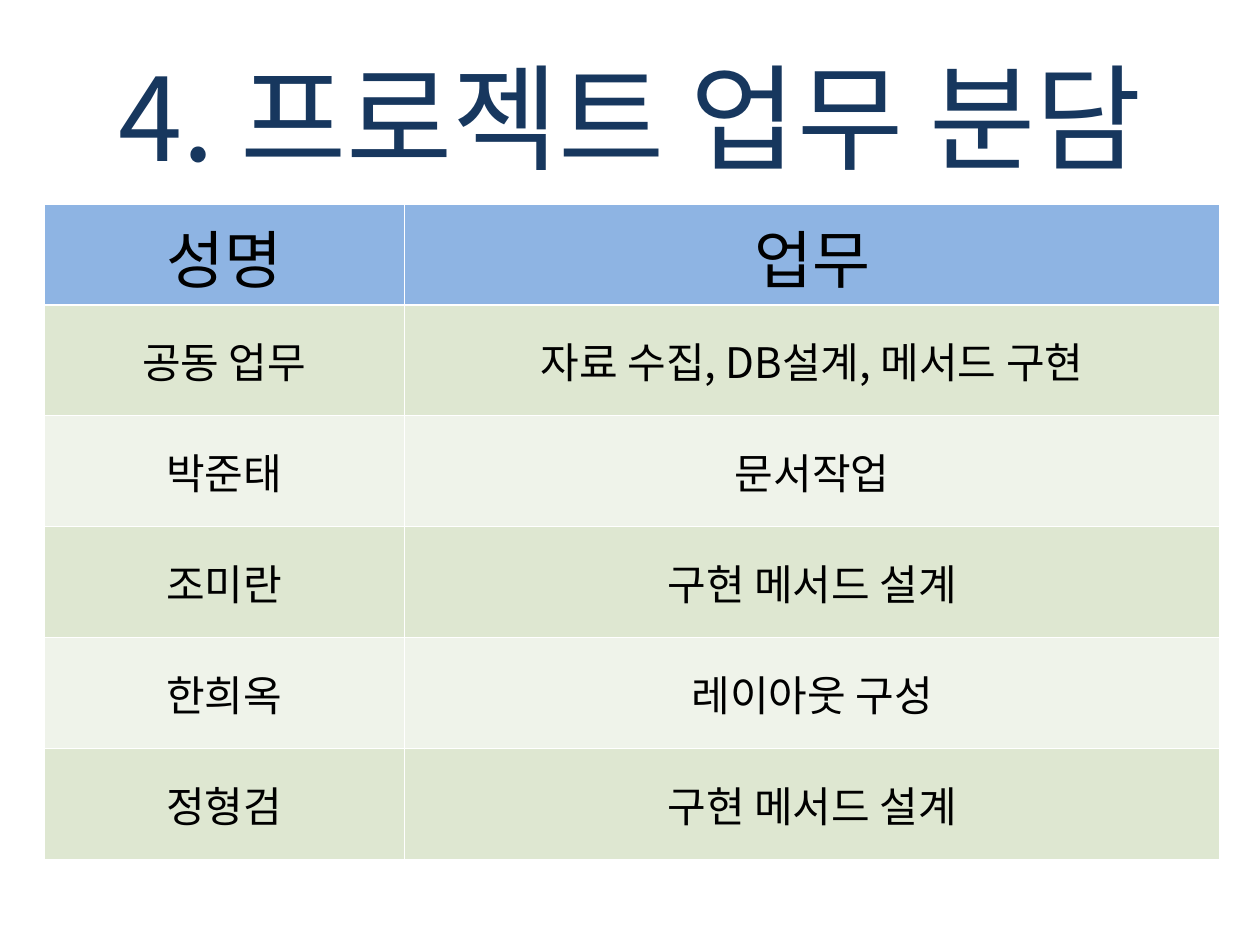
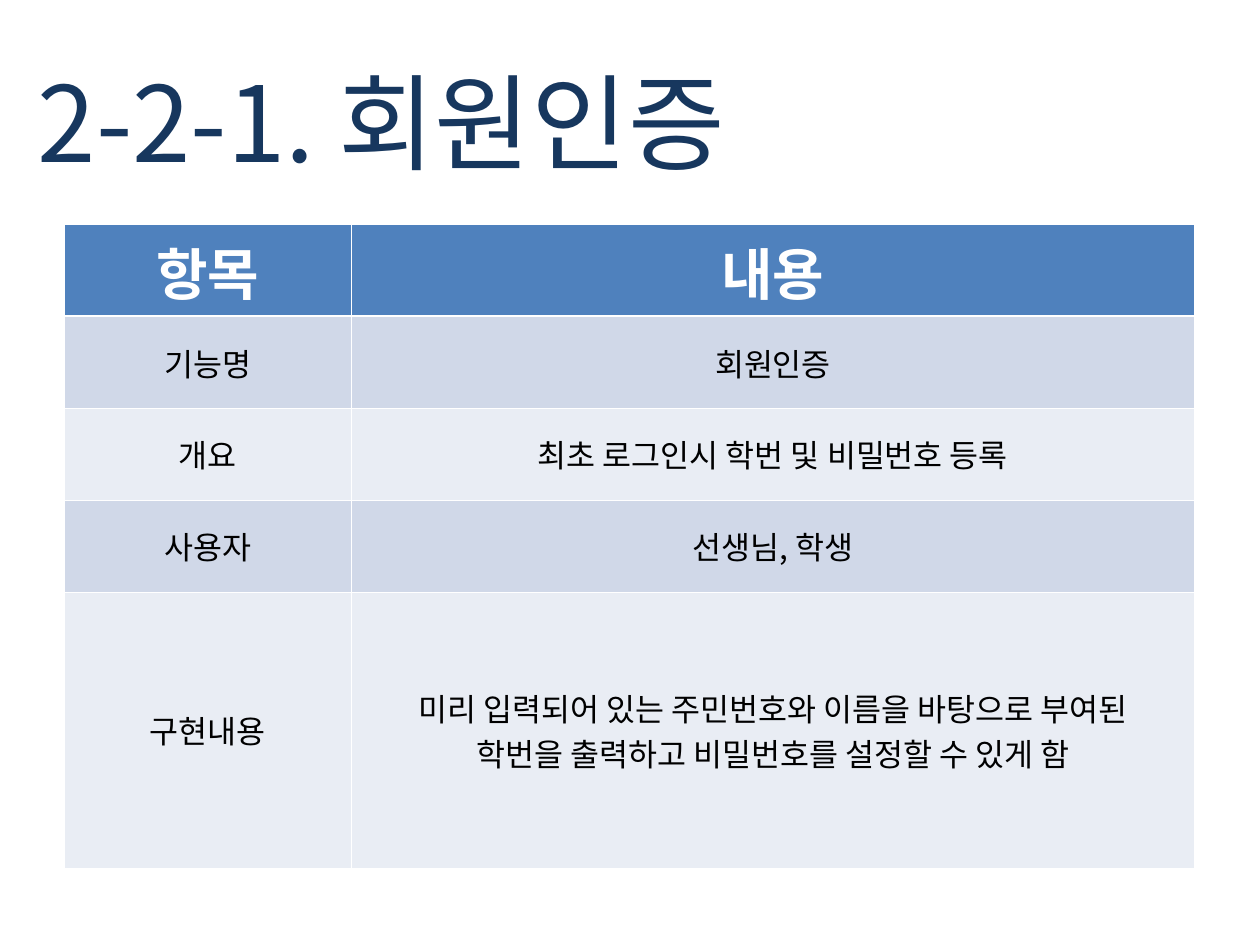
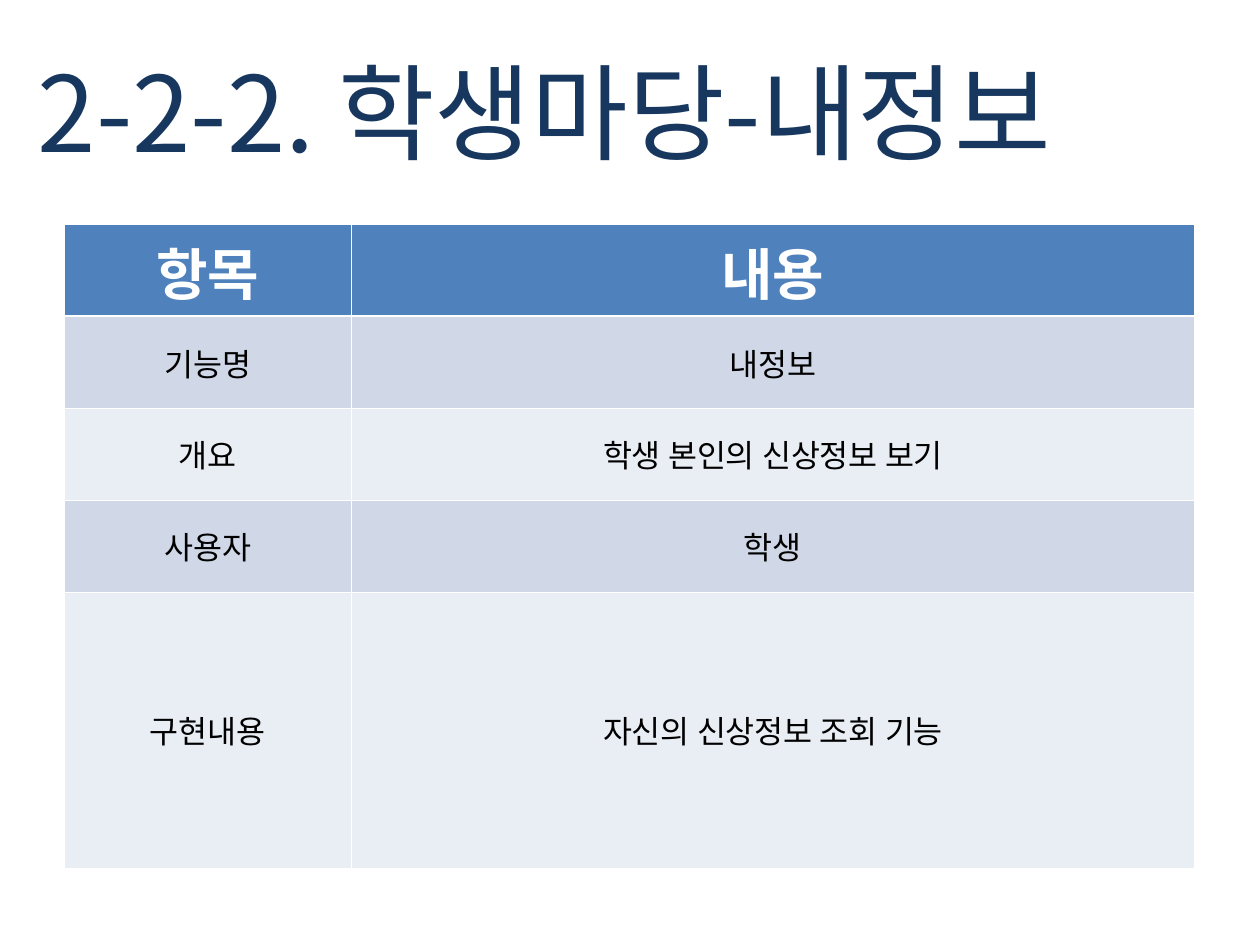
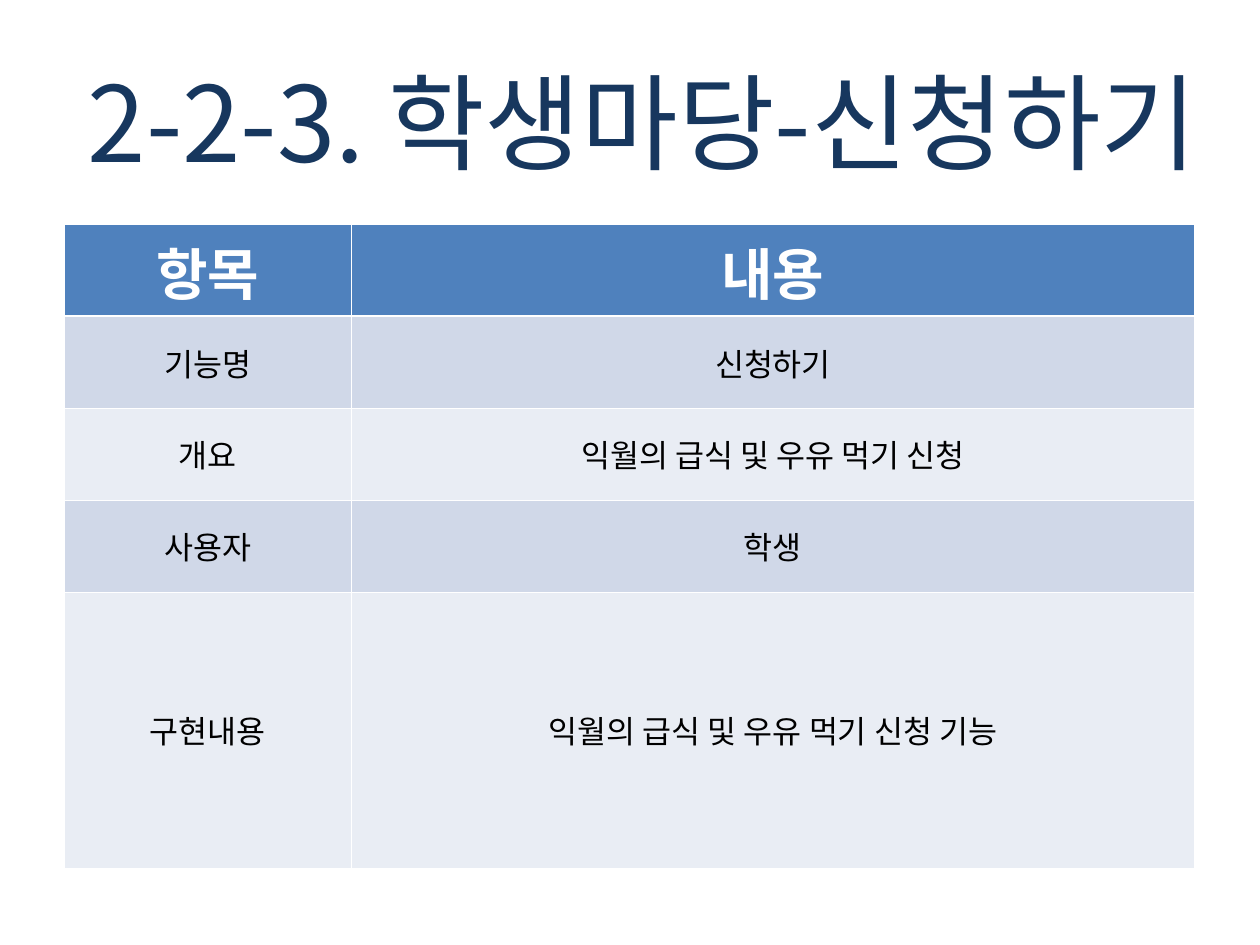
from lxml.etree import SubElement
from pptx import Presentation
from pptx.dml.color import RGBColor
from pptx.enum.text import MSO_ANCHOR as ANCHOR, MSO_AUTO_SIZE as AUTO, PP_ALIGN as ALIGN
from pptx.oxml.ns import qn
from pptx.util import Pt

PX = 9144  # 100 px to the inch
FONT = "Noto Sans CJK KR"
COLORS = {
    "title": "17375E", "black": "000000", "white": "FFFFFF",
    "sky": "8EB4E3", "green": "DEE7D1", "pale_green": "EFF3EA",
    "blue": "4F81BD", "lilac": "D0D8E8", "pale_lilac": "E9EDF4",
}
THIN, THICK = 0.45, 1.47

# Table looks: place, grid, colours and text sizes
DUTY_TABLE = dict(
    left=35, top=162, cols=[286, 647], rows=[80] + [88] * 5,
    fills=["sky", "green", "pale_green"],
    head=dict(size=36, color="black"), body=dict(size=24, color="black"))
FEATURE_TABLE = dict(
    left=51, top=178, cols=[228, 669], rows=[73] * 4 + [219],
    fills=["blue", "lilac", "pale_lilac"],
    head=dict(size=32, color="white", bold=True), body=dict(size=18, color="black"))


class Deck:
    def __init__(self):
        self.prs = Presentation()
        self.prs.slide_width, self.prs.slide_height = 1000 * PX, 750 * PX
        self.s = None

    def slide(self):
        self.s = self.prs.slides.add_slide(self.prs.slide_layouts[5])

    def run(self, p, text, size, color, bold=False):
        r = p.add_run()
        r.text = text
        r.font.size, r.font.bold, r.font.name = Pt(size), bold, FONT
        r.font.color.rgb = RGBColor.from_string(COLORS[color])
        SubElement(r.font._element, qn("a:ea"), typeface=FONT)

    def title(self, text, size=60, height=120, align=ALIGN.LEFT, indent=20, drop=0):
        sp = self.s.shapes.title
        sp.left, sp.top, sp.width, sp.height = 0, 44 * PX, 1000 * PX, height * PX
        tf = sp.text_frame
        tf.word_wrap, tf.auto_size = True, AUTO.SHAPE_TO_FIT_TEXT
        tf.vertical_anchor = ANCHOR.TOP
        tf.margin_left = tf.margin_right = 10 * PX
        tf.margin_top, tf.margin_bottom = (5 + drop) * PX, 5 * PX
        p = tf.paragraphs[0]
        p.alignment, p.line_spacing = align, 0.9
        p._p.get_or_add_pPr().set("marL", str(indent * PX))
        self.run(p, text, size, "title")

    def borders(self, cell, row):
        widths = {"L": THIN, "R": THIN,
                  "T": THICK if row == 1 else THIN,
                  "B": THICK if row == 0 else THIN}
        tcPr = cell._tc.get_or_add_tcPr()
        for side, width in widths.items():
            ln = SubElement(tcPr, qn(f"a:ln{side}"), w=str(Pt(width)))
            fill = SubElement(ln, qn("a:solidFill"))
            SubElement(fill, qn("a:srgbClr"), val=COLORS["white"])

    def cell(self, cell, row, text, fill, style):
        self.borders(cell, row)
        cell.fill.solid()
        cell.fill.fore_color.rgb = RGBColor.from_string(COLORS[fill])
        cell.vertical_anchor = ANCHOR.MIDDLE
        p = cell.text_frame.paragraphs[0]
        p.alignment = ALIGN.CENTER
        for i, line in enumerate(text.split("\n")):
            if i:
                p.add_line_break()
            self.run(p, line, **style)

    def table(self, data, look):
        cols, rows = look["cols"], look["rows"]
        head, odd, even = look["fills"]
        tbl = self.s.shapes.add_table(
            len(rows), len(cols), look["left"] * PX, look["top"] * PX,
            sum(cols) * PX, sum(rows) * PX).table
        tbl.horz_banding = False
        for col, width in zip(tbl.columns, cols):
            col.width = width * PX
        for i, (height, texts) in enumerate(zip(rows, data)):
            tbl.rows[i].height = height * PX
            fill = head if i == 0 else odd if i % 2 else even
            style = look["body"] if i else look["head"]
            for j, text in enumerate(texts):
                self.cell(tbl.cell(i, j), i, text, fill, style)

    def feature(self, title, contents, **title_style):
        self.slide()
        self.title(title, **title_style)
        labels = ["항목", "기능명", "개요", "사용자", "구현내용"]
        self.table(list(zip(labels, ["내용"] + contents)), FEATURE_TABLE)


def main():
    deck = Deck()

    # Division of work
    deck.slide()
    deck.title("4. 프로젝트 업무 분담", size=66, align=ALIGN.CENTER, indent=0)
    deck.table([
        ("성명", "업무"),
        ("공동 업무", "자료 수집, DB설계, 메서드 구현"),
        ("박준태", "문서작업"),
        ("조미란", "구현 메서드 설계"),
        ("한희옥", "레이아웃 구성"),
        ("정형검", "구현 메서드 설계"),
    ], DUTY_TABLE)

    # Feature descriptions
    deck.feature("2-2-1. 회원인증", [
        "회원인증", "최초 로그인시 학번 및 비밀번호 등록", "선생님, 학생",
        "미리 입력되어 있는 주민번호와 이름을 바탕으로 부여된\n"
        "학번을 출력하고 비밀번호를 설정할 수 있게 함"], drop=8)
    deck.feature("2-2-2. 학생마당-내정보", [
        "내정보", "학생 본인의 신상정보 보기", "학생",
        "자신의 신상정보 조회 기능"], height=110)
    deck.feature("2-2-3. 학생마당-신청하기", [
        "신청하기", "익월의 급식 및 우유 먹기 신청", "학생",
        "익월의 급식 및 우유 먹기 신청 기능"],
        height=220, align=ALIGN.CENTER, drop=8)

    deck.prs.save("out.pptx")


if __name__ == "__main__":
    main()
